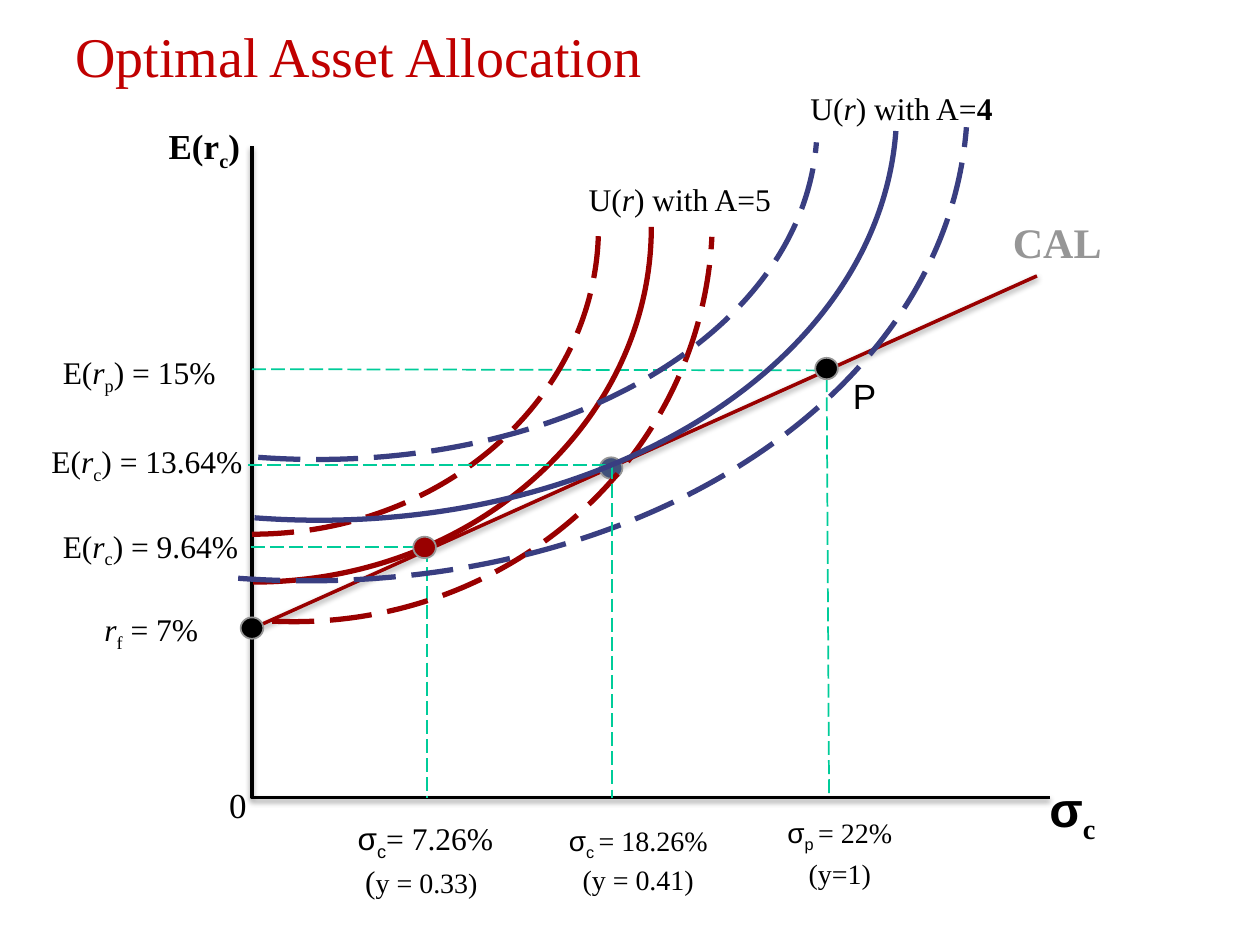
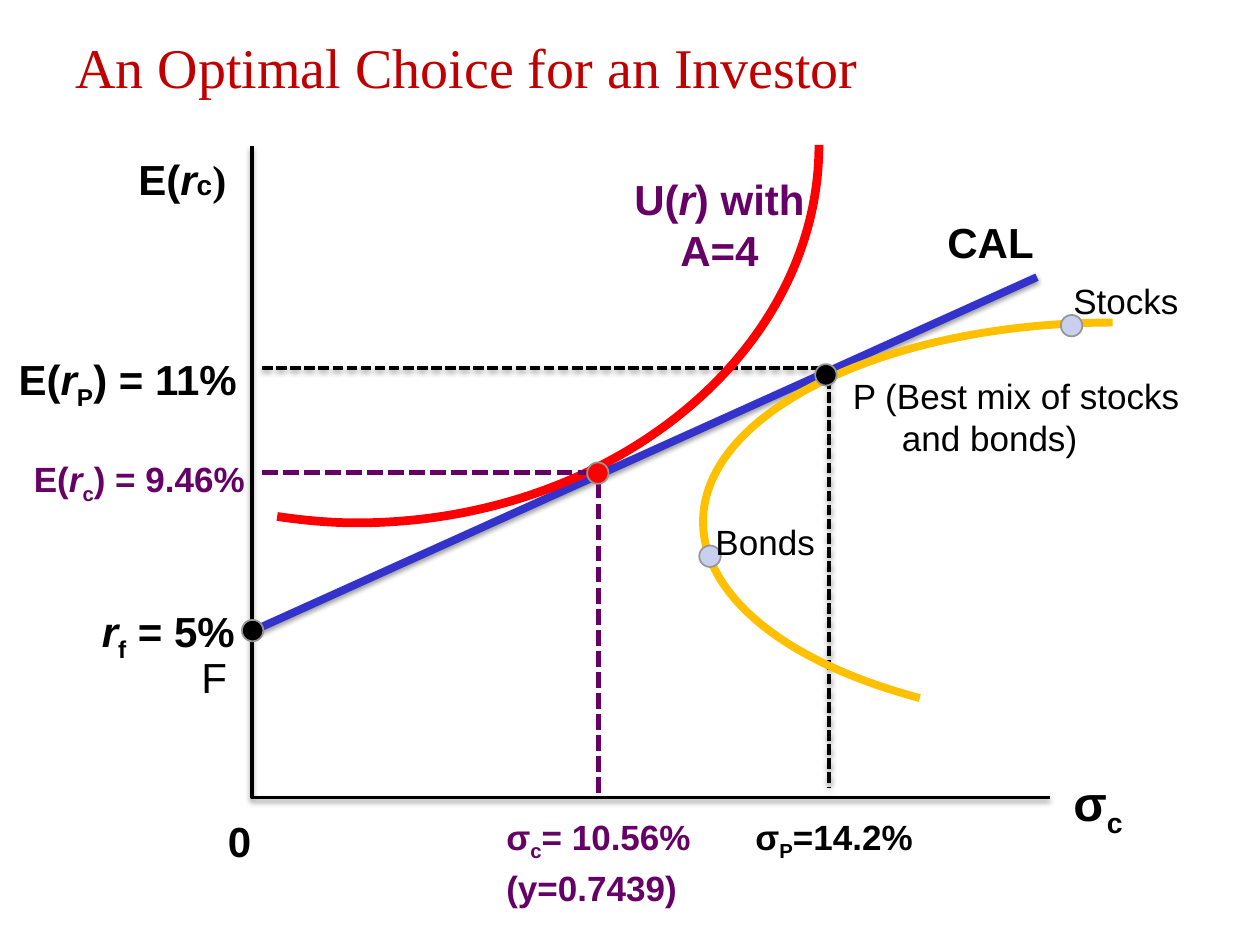
"""Build two slides on optimal asset allocation and an investor's optimal choice."""
import pptx
import pptx.util
import pptx.dml.color
import pptx.enum.dml
import pptx.enum.shapes
import pptx.enum.text
import pptx.oxml.ns
from lxml import etree

Inches = pptx.util.Inches
Pt = pptx.util.Pt
RGB = pptx.dml.color.RGBColor.from_string
qn = pptx.oxml.ns.qn
LONG = pptx.enum.dml.MSO_LINE.LONG_DASH
SHORT = pptx.enum.dml.MSO_LINE.SQUARE_DOT
SERIF, SANS = "Times New Roman", "Arial"
COLORS = {
    "title": "C00000", "black": "000000", "gray": "969696", "maroon": "990000",
    "green": "00CC99", "navy": "393E81", "slate": "40517A", "blue": "3333CC",
    "red": "FF0000", "purple": "660066", "gold": "FFC000", "pale": "C9D0EF",
}


def draw_path(slide, points, color, width, dash=None, shadow=False):
    """Draw a line for two points, a bent axis for three, Bezier curves for more."""
    places = [(Inches(x), Inches(y)) for x, y in points]
    if len(places) == 2:
        path = slide.shapes.add_connector(
            pptx.enum.shapes.MSO_CONNECTOR.STRAIGHT, *places[0], *places[1])
    else:
        builder = slide.shapes.build_freeform(*places[0])
        builder.add_line_segments(places[1:], close=False)
        path = builder.convert_to_shape()
        path.fill.background()
    if len(places) > 3:
        segments = list(path._element.iter(qn("a:lnTo")))
        for start in range(0, len(segments), 3):
            bezier = etree.Element(qn("a:cubicBezTo"))
            segments[start].addprevious(bezier)
            for segment in segments[start:start + 3]:
                bezier.append(segment[0])
                segment.getparent().remove(segment)
    path.line.color.rgb = RGB(COLORS[color])
    path.line.width = Pt(width)
    if dash:
        path.line.dash_style = dash
    effects = etree.SubElement(path._element.spPr, qn("a:effectLst"))
    if shadow:
        outer = etree.SubElement(effects, qn("a:outerShdw"), blurRad=str(Pt(3.1)),
                                 dist=str(Pt(1.6)), dir="5400000", rotWithShape="0")
        shade = etree.SubElement(outer, qn("a:srgbClr"), val=COLORS["black"])
        etree.SubElement(shade, qn("a:alpha"), val="38000")


def write_label(slide, place, lines, size, face, color="black", bold=False, align="l",
                wrap=True, gap=0, indents=(0, 0), bottom=False):
    """Write lines of runs split by |, each with flags after a slash."""
    box = slide.shapes.add_textbox(*map(Inches, place))
    frame = box.text_frame
    frame.word_wrap = wrap
    if bottom:
        frame.vertical_anchor = pptx.enum.text.MSO_ANCHOR.BOTTOM
    else:
        frame.auto_size = pptx.enum.text.MSO_AUTO_SIZE.SHAPE_TO_FIT_TEXT
    for index, line in enumerate(lines):
        paragraph = frame.paragraphs[0] if index == 0 else frame.add_paragraph()
        if align == "c":
            paragraph.alignment = pptx.enum.text.PP_ALIGN.CENTER
        if index and gap:
            paragraph.space_before = Pt(gap)
        if indents[index]:
            paragraph._p.get_or_add_pPr().set("marL", str(Inches(indents[index])))
        paragraph.font.name, paragraph.font.size = face, Pt(size)
        paragraph.font.bold = bold
        paragraph.font.color.rgb = RGB(COLORS[color])
        for piece in line.split("|"):
            text, _, flags = piece.partition("/")
            run = paragraph.add_run()
            run.text = text
            if "i" in flags:
                run.font.italic = True
            if "b" in flags:
                run.font.bold = True
            if "A" in flags:
                run.font.name = SANS
            if "T" in flags:
                run.font.name = SERIF
            if "m" in flags:
                run.font.size = Pt(16)
            if "s" in flags:
                run._r.get_or_add_rPr().set("baseline", "-25000")


deck = pptx.Presentation()
deck.slide_width, deck.slide_height = Inches(10), Inches(7.5)

allocation = {
    "title": "Optimal Asset Allocation", "title_height": 0.58,
    "cal": ([(2, 4.99), (8.23, 2.19)], "maroon", 2),
    "behind": [
        ([(2, 2.93), (6.56, 2.94)], "green", 1, LONG),
        ([(6.56, 2.85), (6.58, 6.33)], "green", 1, LONG),
        ([(2.01, 4.62), (3.75, 4.62), (5.17, 3.36), (5.17, 1.8)], "maroon", 3),
        ([(1.99, 4.34), (3.39, 4.34)], "green", 1, LONG),
        ([(3.39, 4.35), (3.39, 6.33)], "green", 1, LONG),
    ],
    "dots": [(6.47, 2.84, "black"), (3.28, 4.26, "maroon"),
             (1.91, 4.9, "black"), (4.76, 3.63, "slate")],
    "dot_width": 0.18,
    "front": [
        ([(2, 4.24), (3.52, 4.24), (4.75, 3.15), (4.75, 1.8)], "maroon", 3, LONG),
        ([(2.16, 4.93), (4, 5.02), (5.56, 3.66), (5.65, 1.88)], "maroon", 3, LONG),
        ([(1.89, 4.59), (4.92, 4.81), (7.5, 3.21), (7.67, 1.01)], "navy", 3, LONG),
        ([(4.86, 3.69), (4.86, 6.33)], "green", 1, LONG),
        ([(1.97, 3.69), (4.86, 3.69)], "green", 1, LONG),
        ([(2.02, 4.11), (4.69, 4.31), (6.97, 2.93), (7.11, 1.04)], "navy", 3),
        ([(2.05, 3.63), (4.38, 3.8), (6.36, 2.68), (6.48, 1.13)], "navy", 3, LONG),
    ],
    "labels": [
        ((0.4, 2.75, 1.44, 0.4), ["E(|r/i|p/s|) = 15%"], 18, SERIF, {"wrap": False}),
        ((0.31, 3.46, 1.73, 0.4), ["E(|r/i|c/s|) = 13.64%"], 18, SERIF, {"wrap": False}),
        ((0.4, 4.13, 1.6, 0.4), ["E(|r/i|c/s|) = 9.64%"], 18, SERIF, {"wrap": False}),
        ((0.73, 4.79, 0.96, 0.4), ["r/i|f/s| = 7%"], 18, SERIF, {"wrap": False}),
        ((1.72, 6.17, 0.29, 0.43), ["0"], 20, SERIF, {}),
        ((6.67, 2.92, 0.39, 0.43), ["P"], 20, SANS, {"wrap": False}),
        ((7.94, 1.67, 1.08, 0.43), ["CAL"], 24, SERIF, {"color": "gray", "bold": True}),
        ((2.74, 6.45, 1.3, 1.07), ["σ/A|c/As|= 7.26%", "(|y = 0.33)/m"], 18, SERIF,
         {"wrap": False, "indents": (0, 0.06)}),
        ((4.39, 6.49, 1.35, 0.64), ["σ/A|c /As|= 18.26%", "(y = 0.41)"], 16, SERIF,
         {"align": "c"}),
        ((6.08, 6.42, 1.17, 0.67), ["σ/A|p /As|= 22%", "(y=1)"], 16, SERIF,
         {"align": "c", "gap": 1.6}),
        ((8.23, 6.13, 0.67, 0.57), ["σ/A|c/s"], 28, SERIF, {"bold": True}),
        ((1.24, 0.94, 1, 0.44), ["E(r|c/s|)"], 20, SERIF, {"bold": True}),
        ((4.47, 1.38, 1.85, 0.4), ["U(|r/i|) with A=5"], 18, SERIF, {"align": "c"}),
        ((6.23, 0.66, 1.85, 0.4), ["U(|r/i|) with A=|4/b"], 18, SERIF, {"align": "c"}),
    ],
}

choice = {
    "title": "An Optimal Choice for an Investor", "title_height": 0.67,
    "cal": ([(2, 5.01), (8.23, 2.2)], "blue", 4.5),
    "behind": [
        ([(2.08, 2.92), (6.58, 2.92)], "black", 2, SHORT, True),
        ([(6.58, 3), (6.58, 6.25)], "black", 2, SHORT, True),
        ([(2.2, 4.1), (2.41, 4.13), (2.62, 4.15), (2.83, 4.15),
          (4.85, 4.15), (6.5, 2.8), (6.5, 1.15)], "red", 5),
        ([(2.08, 3.75), (4.67, 3.75)], "purple", 3, SHORT),
        ([(4.75, 3.83), (4.75, 6.33)], "purple", 3, SHORT),
        ([(8.83, 2.56), (7.04, 2.56), (5.58, 3.27), (5.58, 4.14),
          (5.58, 4.73), (6.24, 5.26), (7.3, 5.54)], "gold", 4.5),
    ],
    "dots": [(1.92, 4.92, "black"), (5.55, 4.33, "pale"), (8.42, 2.5, "pale"),
             (6.47, 2.89, "black"), (4.66, 3.67, "red")],
    "dot_width": 0.17,
    "front": [],
    "labels": [
        ((0.05, 2.76, 1.97, 0.5), ["E(|r/i|P/s|) = 11%"], 24, SANS,
         {"bold": True, "wrap": False}),
        ((0.17, 3.58, 1.92, 0.43), ["E(|r/i|c/s|) = 9.46%"], 20, SANS,
         {"bold": True, "color": "purple"}),
        ((0.71, 4.76, 1.28, 0.5), ["r/i|f/s| = 5%"], 24, SANS,
         {"bold": True, "wrap": False}),
        ((1.5, 5.12, 0.41, 0.51), ["F"], 24, SANS, {"wrap": False}),
        ((1.71, 6.42, 0.39, 0.5), ["0"], 24, SANS, {"bold": True, "wrap": False}),
        ((6.67, 2.92, 2.84, 0.77), ["P (Best mix of stocks", "and bonds)"], 20, SANS,
         {"wrap": False, "indents": (0, 0.39)}),
        ((7.42, 1.67, 1.08, 0.5), ["CAL"], 24, SANS, {"bold": True}),
        ((3.92, 6.42, 1.75, 0.81), ["σ|c/s|= 10.56%", "(y=0.7439)"], 20, SANS,
         {"bold": True, "color": "purple", "wrap": False, "gap": 2}),
        ((5.83, 6.42, 1.58, 0.43), ["σ|P/s|=14.2%"], 20, SANS,
         {"bold": True, "align": "c"}),
        ((8.42, 6.08, 0.67, 0.57), ["σ|c/s"], 28, SANS, {"bold": True}),
        ((4.92, 1.33, 1.58, 0.91), ["U(|r/i|) with A=4"], 24, SANS,
         {"bold": True, "color": "purple", "align": "c"}),
        ((5.58, 4.08, 1.05, 0.43), ["Bonds"], 20, SANS, {"wrap": False}),
        ((8.42, 2.17, 1.1, 0.43), ["Stocks"], 20, SANS, {"wrap": False}),
        ((1, 1.17, 0.99, 0.51), ["E(|r/i|c/m|)/T"], 24, SANS,
         {"bold": True, "wrap": False}),
    ],
}

for diagram in (allocation, choice):
    slide = deck.slides.add_slide(deck.slide_layouts[6])
    write_label(slide, (0.5, 0.17, 9.25, diagram["title_height"]), [diagram["title"]],
                32, SERIF, "title", bottom=True)
    draw_path(slide, [(2, 1.16), (2, 6.33), (8.33, 6.33)], "black", 2, shadow=True)
    draw_path(slide, *diagram["cal"], shadow=True)
    for stroke in diagram["behind"]:
        draw_path(slide, *stroke)
    for left, top, fill in diagram["dots"]:
        dot = slide.shapes.add_shape(
            pptx.enum.shapes.MSO_SHAPE.OVAL, Inches(left), Inches(top),
            Inches(diagram["dot_width"]), Inches(0.17))
        dot.shadow.inherit = False
        dot.fill.solid()
        dot.fill.fore_color.rgb = RGB(COLORS[fill])
        dot.line.color.rgb = RGB(COLORS["gray"])
        dot.line.width = Pt(1)
    for stroke in diagram["front"]:
        draw_path(slide, *stroke)
    for place, lines, size, face, style in diagram["labels"]:
        write_label(slide, place, lines, size, face, **style)

deck.save("out.pptx")
